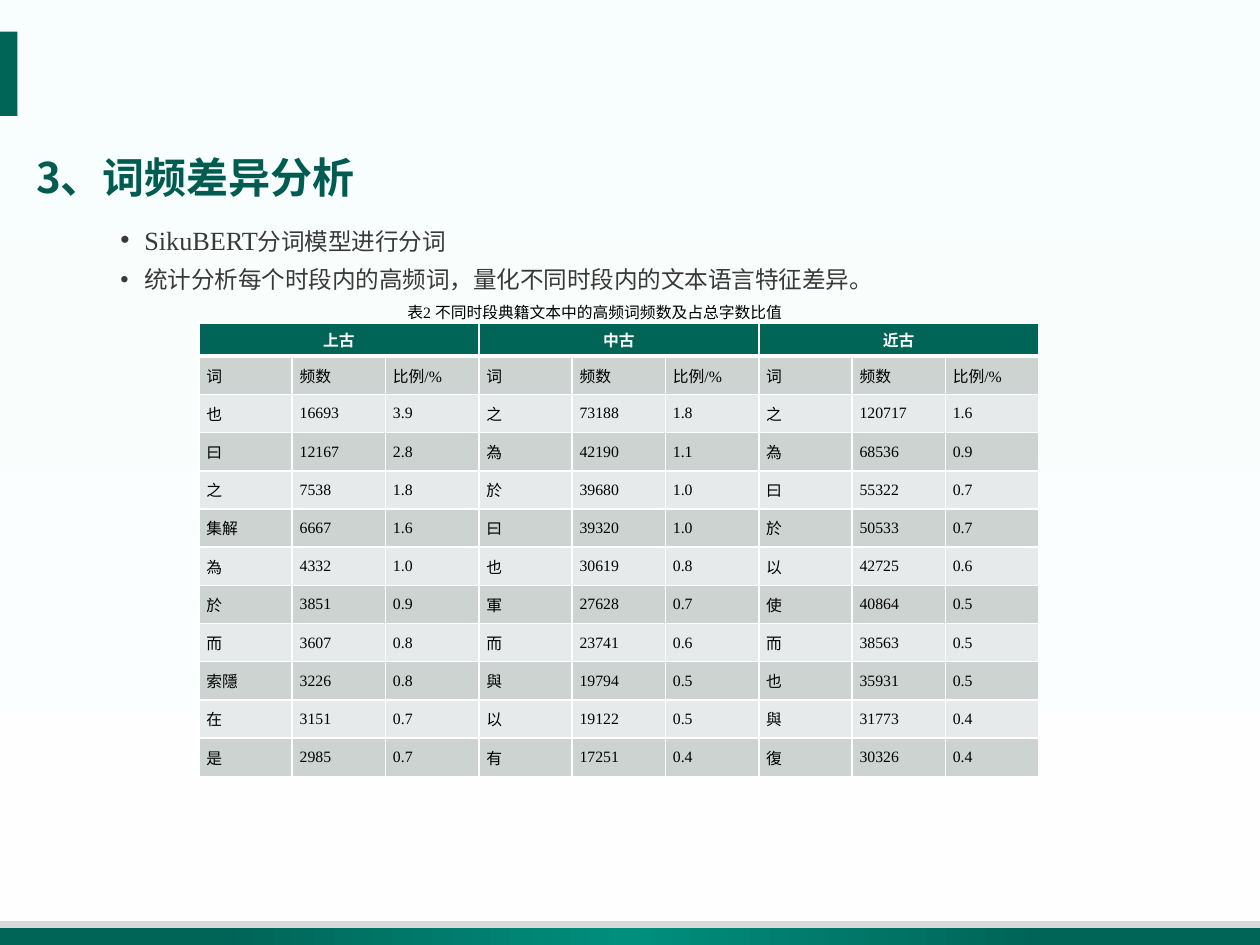
"""Build the slide on word-frequency differences between three periods."""
from lxml import etree
from pptx import Presentation
from pptx.dml.color import RGBColor
from pptx.enum.shapes import MSO_SHAPE as SHAPE
from pptx.enum.text import MSO_ANCHOR as ANCHOR, PP_ALIGN as ALIGN
from pptx.oxml.ns import qn
from pptx.util import Cm, Pt

GREEN = RGBColor(0x00, 0x64, 0x57)
MINT = RGBColor(0x00, 0x8E, 0x7D)
TITLE_GREEN = RGBColor(0x00, 0x5C, 0x51)
PALE = RGBColor(0xF7, 0xFF, 0xFE)
WHITE = RGBColor(0xFF, 0xFF, 0xFF)
BLACK = RGBColor(0x00, 0x00, 0x00)
GREY = RGBColor(0xD9, 0xD9, 0xD9)
INK = RGBColor(0x3A, 0x38, 0x38)
BAND_DARK = RGBColor(0xCC, 0xD3, 0xD1)
BAND_LIGHT = RGBColor(0xE7, 0xEA, 0xEA)
SANS, SERIF, HEAD = "Noto Sans CJK SC", "Times New Roman", "Calibri"

PERIODS = ["上古", "中古", "近古"]
COLUMNS = ["词", "频数", "比例/%"]
FREQUENCIES = [
    "也 16693 3.9 之 73188 1.8 之 120717 1.6",
    "曰 12167 2.8 為 42190 1.1 為 68536 0.9",
    "之 7538 1.8 於 39680 1.0 曰 55322 0.7",
    "集解 6667 1.6 曰 39320 1.0 於 50533 0.7",
    "為 4332 1.0 也 30619 0.8 以 42725 0.6",
    "於 3851 0.9 軍 27628 0.7 使 40864 0.5",
    "而 3607 0.8 而 23741 0.6 而 38563 0.5",
    "索隱 3226 0.8 與 19794 0.5 也 35931 0.5",
    "在 3151 0.7 以 19122 0.5 與 31773 0.4",
    "是 2985 0.7 有 17251 0.4 復 30326 0.4",
]


def add_element(parent, tag, **attrs):
    return etree.SubElement(parent, qn(tag), {k: str(v) for k, v in attrs.items()})


class SlideBuilder:
    def __init__(self, prs):
        self.s = prs.slides.add_slide(prs.slide_layouts[6])
        self.title = {"size": Pt(24), "name": SANS, "bold": True, "color": TITLE_GREEN}
        self.body = {"size": Pt(13.5), "name": SANS, "color": INK}
        self.latin = {"size": Pt(15), "name": SERIF, "color": INK}
        self.caption = {"size": Pt(9), "name": SERIF, "color": BLACK}
        self.header = {"size": Pt(9), "name": HEAD, "bold": True, "color": WHITE}
        self.header_cell = {"margin_left": Cm(0.18), "margin_right": Cm(0.18),
                            "margin_top": Cm(0.1), "margin_bottom": Cm(0.1)}
        self.data_cell = {"margin_left": Cm(0.15), "margin_right": Cm(0.15), "margin_top": 0,
                          "margin_bottom": 0, "vertical_anchor": ANCHOR.MIDDLE}

    def rect(self, box, color=None, stops=(), angle=0):
        sp = self.s.shapes.add_shape(SHAPE.RECTANGLE, *map(Cm, box))
        sp.shadow.inherit = False
        sp.line.fill.background()
        if color is not None:
            sp.fill.solid()
            sp.fill.fore_color.rgb = color
            return
        sp.fill.gradient()
        sp.fill.gradient_angle = -angle % 360
        gs_lst = sp.element.spPr.find(qn("a:gradFill")).find(qn("a:gsLst"))
        for gs in list(gs_lst):
            gs_lst.remove(gs)
        for pos, rgb, alpha in stops:
            gs = add_element(gs_lst, "a:gs", pos=pos * 1000)
            clr = add_element(gs, "a:srgbClr", val=rgb)
            add_element(clr, "a:alpha", val=alpha * 1000)

    def run(self, p, text, fmt):
        r = p.add_run()
        r.text = text
        for key, value in fmt.items():
            if key == "color":
                r.font.color.rgb = value
            else:
                setattr(r.font, key, value)
        add_element(r.font._element, "a:ea", typeface=SANS)

    def text(self, box, paragraphs, bullet=False, anchor=ANCHOR.TOP, **fmt):
        tf = self.s.shapes.add_textbox(*map(Cm, box)).text_frame
        tf.word_wrap = True
        tf.vertical_anchor = anchor
        for i, runs in enumerate(paragraphs):
            p = tf.add_paragraph() if i else tf.paragraphs[0]
            if bullet:
                pPr = p._p.get_or_add_pPr()
                pPr.set("marL", str(Cm(1.42)))
                pPr.set("indent", str(Cm(-0.48)))
                add_element(pPr, "a:buFont", typeface="Arial")
                add_element(pPr, "a:buChar", char="•")
                if i:
                    p.space_before = Pt(2)
            for key, value in fmt.items():
                setattr(p, key, value)
            for text, style in runs:
                self.run(p, text, style)

    def cell(self, cell, text, fill, cell_fmt, font_fmt, bottom=1, align=ALIGN.LEFT):
        for key, value in cell_fmt.items():
            setattr(cell, key, value)
        p = cell.text_frame.paragraphs[0]
        p.alignment = align
        if text:
            self.run(p, text, font_fmt)
        tcPr = cell._tc.get_or_add_tcPr()
        for side, width in (("L", 1), ("R", 1), ("T", 1), ("B", bottom)):
            ln = add_element(tcPr, f"a:ln{side}", w=Pt(width))
            add_element(add_element(ln, "a:solidFill"), "a:srgbClr", val=WHITE)
        cell.fill.solid()
        cell.fill.fore_color.rgb = fill

    def table(self, box, header_height, row_height):
        rows = [COLUMNS * len(PERIODS)] + [line.split() for line in FREQUENCIES]
        span, width = len(COLUMNS), len(rows[0])
        table = self.s.shapes.add_table(len(rows) + 1, width, *map(Cm, box)).table
        for i, row in enumerate(table.rows):
            row.height = Cm(row_height if i else header_height)
        for col in table.columns:
            col.width = Cm(box[2] / width)
        for c in range(width):
            text = "" if c % span else PERIODS[c // span]
            self.cell(table.cell(0, c), text, GREEN, self.header_cell, self.header, 3, ALIGN.CENTER)
        for c in range(0, width, span):
            table.cell(0, c).merge(table.cell(0, c + span - 1))
        for i, values in enumerate(rows, 1):
            fill = BAND_DARK if i % 2 else BAND_LIGHT
            for c, value in enumerate(values):
                self.cell(table.cell(i, c), value, fill, self.data_cell, self.caption)


def main():
    prs = Presentation()
    prs.slide_width, prs.slide_height = Cm(25.4), Cm(19.05)
    b = SlideBuilder(prs)
    b.rect((-0.1, 0, 25.5, 19.15), stops=[(0, PALE, 83), (100, WHITE, 90)], angle=90)
    b.rect((0, 18.57, 25.4, 0.18), GREY)
    b.rect((0, 18.71, 25.4, 0.48), stops=[(17, GREEN, 100), (50, MINT, 100), (83, GREEN, 100)])
    b.rect((-0.1, 0.64, 0.45, 1.7), GREEN)
    b.text((0.48, 3.05, 6.96, 1.17), [[("3、词频差异分析", b.title)]],
           anchor=ANCHOR.MIDDLE, line_spacing=0.9)
    b.text((1.24, 4.27, 22.45, 1.93), [
        [("SikuBERT", b.latin), ("分词模型进行分词", b.body)],
        [("统计分析每个时段内的高频词，量化不同时段内的文本语言特征差异。", b.body)],
    ], bullet=True, line_spacing=1.2)
    b.table((4.01, 6.51, 16.93, 9.14), 0.67, 0.77)
    b.text((5.61, 5.84, 12.75, 0.74), [[("表2 不同时段典籍文本中的高频词频数及占总字数比值", b.caption)]],
           alignment=ALIGN.CENTER, line_spacing=Pt(15))
    prs.save("out.pptx")


if __name__ == "__main__":
    main()
